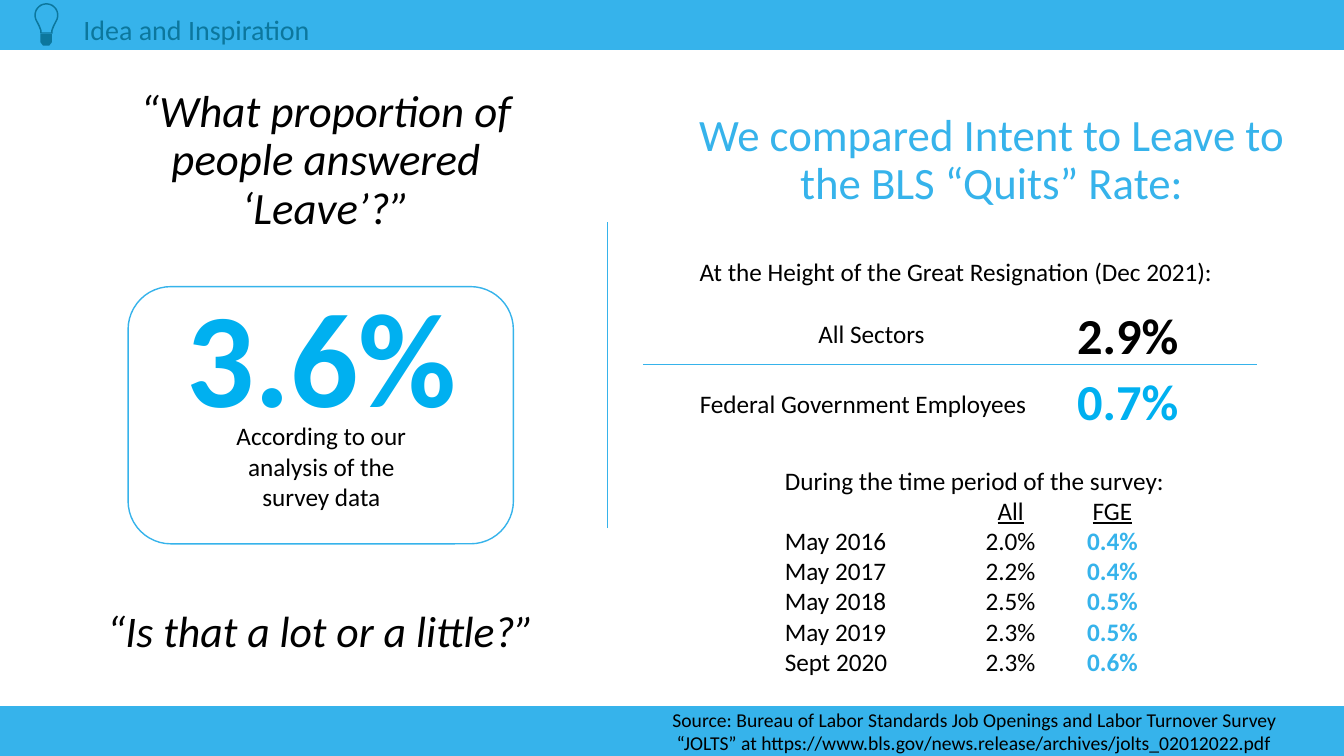
from math import cos, radians, sin

from lxml.etree import SubElement
from pptx import Presentation
from pptx.dml.color import RGBColor
from pptx.enum.shapes import MSO_CONNECTOR, MSO_SHAPE
from pptx.enum.text import MSO_ANCHOR, MSO_AUTO_SIZE, PP_ALIGN
from pptx.oxml.ns import qn
from pptx.util import Pt

PX = 9525
SKY, BRIGHT, TEAL, BLACK = "36B3EB", "00B0F0", "0C779D", "000000"


def write(paragraph, text, size=18, colour=BLACK, bold=False, italic=False, underline=False):
    run = paragraph.add_run()
    run.text = text
    font = run.font
    font.name, font.size = "Calibri", Pt(size)
    font.bold, font.italic, font.underline = bold, italic, underline
    font.color.rgb = RGBColor.from_string(colour)


def paint(shape, fill=None, line=None):
    shape.shadow.inherit = False
    if fill:
        shape.fill.solid()
        shape.fill.fore_color.rgb = RGBColor.from_string(fill)
    else:
        shape.fill.background()
    if line:
        shape.line.color.rgb = RGBColor.from_string(line)
        shape.line.width = Pt(1)
    else:
        shape.line.fill.background()


deck = Presentation()
deck.slide_width, deck.slide_height = 1280 * PX, 720 * PX
slide = deck.slides.add_slide(deck.slide_layouts[5])
shapes = slide.shapes

# Header and footer bars, and the frame around the survey result
for kind, left, top, width, height, fill in [
    (MSO_SHAPE.RECTANGLE, 0, 0, 1280, 47, SKY),
    (MSO_SHAPE.RECTANGLE, 0, 673, 1280, 47, SKY),
    (MSO_SHAPE.ROUNDED_RECTANGLE, 122, 273, 367, 245, None),
]:
    panel = shapes.add_shape(kind, left * PX, top * PX, width * PX, height * PX)
    paint(panel, fill, SKY)

# Dividers
for x1, y1, x2, y2 in [(1197, 347, 612, 347), (578, 503, 578, 211)]:
    divider = shapes.add_connector(MSO_CONNECTOR.STRAIGHT, x1 * PX, y1 * PX, x2 * PX, y2 * PX)
    divider.line.color.rgb = RGBColor.from_string(SKY)
    divider.line.width = Pt(0.5)
    SubElement(divider._element.spPr, qn("a:effectLst"))

# Light bulb, in tenths of a px: a glass ring and a solid base
contours = []
for radius, neck in [
    (115, [(78, 100), (60, 145), (58, 175)]),
    (101, [(62, 100), (45, 145), (45, 163)]),
]:
    dome = [(radius * cos(radians(a)), radius * sin(radians(a))) for a in range(150, 391, 10)]
    outline = [(-x, y) for x, y in reversed(neck)] + dome + neck
    contours.append([(round(442 + x), round(145 + y)) for x, y in outline])
base = [(386, 326), (494, 326), (494, 403), (470, 434), (410, 434), (386, 403)]
for part in (contours, [base]):
    builder = shapes.build_freeform(*part[0][0], scale=PX / 10)
    builder.add_line_segments(part[0][1:], close=True)
    for hole in part[1:]:
        builder.move_to(*hole[0])
        builder.add_line_segments(hole[1:], close=True)
    paint(builder.convert_to_shape(), TEAL)

# Headings, centred in the middle of their boxes
for left, top, width, text, style in [
    (70, 84, 481, "“What proportion of people answered ‘Leave’?”", dict(size=32, italic=True)),
    (652, 84, 585, "We compared Intent to Leave to the BLS “Quits” Rate:", dict(size=32, colour=SKY)),
    (65, 534, 481, "“Is that a lot or a little?”", dict(size=31.2, italic=True)),
]:
    if top == 84 and left == 70:
        heading = shapes.title
        heading.left, heading.top, heading.width, heading.height = (
            left * PX, top * PX, width * PX, 139 * PX)
    else:
        heading = shapes.add_textbox(left * PX, top * PX, width * PX, 139 * PX)
    frame = heading.text_frame
    frame.word_wrap = True
    frame.auto_size = MSO_AUTO_SIZE.NONE
    frame.vertical_anchor = MSO_ANCHOR.MIDDLE
    paragraph = frame.paragraphs[0]
    paragraph.alignment = PP_ALIGN.CENTER
    paragraph.line_spacing = 0.9
    write(paragraph, text, **style)

# Labels and figures
LEFT, CENTER = PP_ALIGN.LEFT, PP_ALIGN.CENTER
for left, top, width, height, align, text, style in [
    (70, 7, 492, 42, LEFT, "Idea and Inspiration", dict(size=20, colour=TEAL)),
    (123, 255, 367, 165, CENTER, "3.6%", dict(size=96, colour=BRIGHT, bold=True)),
    (194, 396, 224, 97, CENTER, "According to our analysis of the survey data", {}),
    (657, 239, 540, 38, LEFT, "At the Height of the Great Resignation (Dec 2021):", {}),
    (770, 298, 122, 38, LEFT, "All Sectors", {}),
    (951, 285, 246, 68, CENTER, "2.9%", dict(size=36, bold=True)),
    (657, 365, 347, 38, LEFT, "Federal Government Employees", {}),
    (951, 348, 246, 68, CENTER, "0.7%", dict(size=36, colour=BRIGHT, bold=True)),
]:
    frame = shapes.add_textbox(left * PX, top * PX, width * PX, height * PX).text_frame
    frame.word_wrap = True
    paragraph = frame.paragraphs[0]
    paragraph.alignment = align
    write(paragraph, text, **style)

# Quit rates in the survey years, on centred tab stops
rates = shapes.add_textbox(738 * PX, 438 * PX, 400 * PX, 213 * PX).text_frame
rates.word_wrap = True
write(rates.paragraphs[0], "During the time period of the survey:")
for period, everyone, federal in [
    ("", "All", "FGE"),
    ("May 2016", "2.0%", "0.4%"),
    ("May 2017", "2.2%", "0.4%"),
    ("May 2018", "2.5%", "0.5%"),
    ("May 2019", "2.3%", "0.5%"),
    ("Sept 2020", "2.3%", "0.6%"),
]:
    row = rates.add_paragraph()
    stops = SubElement(row._p.get_or_add_pPr(), qn("a:tabLst"))
    for stop in (215, 312):
        SubElement(stops, qn("a:tab"), pos=str(stop * PX), algn="ctr")
    is_header = not period
    write(row, period + "\t")
    write(row, everyone, underline=is_header)
    write(row, "\t")
    write(row, federal, colour=BLACK if is_header else SKY, bold=not is_header, underline=is_header)

# Source, its second line slightly indented
source = shapes.add_textbox(631 * PX, 669 * PX, 620 * PX, 55 * PX).text_frame
source.word_wrap = True
write(source.paragraphs[0],
      "Source: Bureau of Labor Standards Job Openings and Labor Turnover Survey", size=14)
address = source.add_paragraph()
address._p.get_or_add_pPr().set("marL", str(4 * PX))
write(address, "“JOLTS” at https://www.bls.gov/news.release/archives/jolts_02012022.pdf", size=14)

deck.save("out.pptx")
